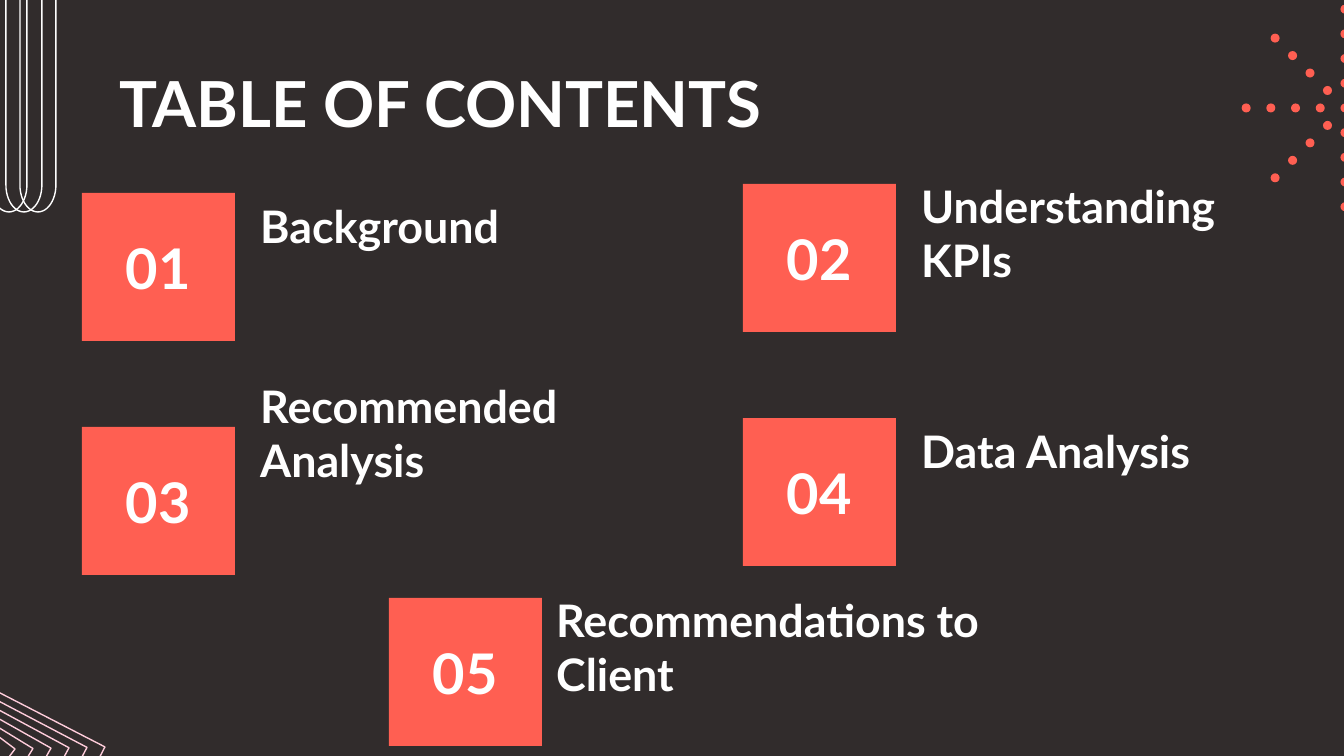
from math import cos, pi, sin

from pptx import Presentation
from pptx.dml.color import RGBColor
from pptx.enum.shapes import MSO_SHAPE
from pptx.enum.text import MSO_ANCHOR, PP_ALIGN
from pptx.util import Pt

PX = 914400 / 134.4
FONT = "Lato"
COLORS = {"bg": "312C2C", "coral": "FF5F52", "white": "FFFFFF", "pink": "FFCDDB"}

TITLE = ("TABLE OF CONTENTS", (106, 51, 1133, 85))
# number, tile left and top, heading, heading left, top and width
ITEMS = [
    ("01", (82, 193), "Background", (247, 181, 366)),
    ("02", (743, 184), "Understanding KPIs", (908, 215, 379)),
    ("03", (82, 427), "Recommended Analysis", (247, 415, 379)),
    ("04", (743, 418), "Data Analysis", (908, 406, 379)),
    ("05", (389, 598), "Recommendations to Client", (543, 629, 465)),
]
TILE_W, TILE_H, HEADING_H = 153, 148, 85

LOOP_LEFTS = [6, -9, 20]
LOOP_TOP, LOOP_BOTTOM, LOOP_RX, LOOP_RY = -128, 212, 18, 27

DIAMOND_INNER = [(-27, 755), (-9, 731), (15, 749), (-3, 773)]
DIAMOND_OUTER = [(-102, 813), (-31, 677), (105, 747), (35, 883)]
DIAMONDS = 6

BURST_CENTER = (1345, 108)
DOT, DOT_GAP, DOTS_PER_RAY = 9, 24.7, 4
RAY_ANGLES = [90, 135, 180, 225, 270]


def emu(*lengths):
    return [round(v * PX) for v in lengths]


def rgb(name):
    return RGBColor.from_string(COLORS[name])


def add_outline(points, color):
    builder = s.shapes.build_freeform(*emu(*points[0]), scale=1.0)
    builder.add_line_segments([emu(*pt) for pt in points[1:]], close=True)
    sp = builder.convert_to_shape()
    sp.shadow.inherit = False
    sp.fill.background()
    sp.line.color.rgb = rgb(color)
    sp.line.width = Pt(0.75)


def add_solid(kind, box):
    sp = s.shapes.add_shape(kind, *emu(*box))
    sp.shadow.inherit = False
    sp.fill.solid()
    sp.fill.fore_color.rgb = rgb("coral")
    sp.line.fill.background()
    return sp


def set_text(sp, text, size, anchor, align=PP_ALIGN.LEFT):
    tf = sp.text_frame
    tf.word_wrap = True
    tf.vertical_anchor = anchor
    tf.margin_left = tf.margin_right = tf.margin_top = tf.margin_bottom = 91440
    p = tf.paragraphs[0]
    p.text = text
    p.alignment = align
    p.font.name = FONT
    p.font.size = Pt(size)
    p.font.bold = True
    p.font.color.rgb = rgb("white")


def loop_points(left):
    """Tall closed loop with half-ellipse ends, clockwise from the lower right."""
    cx = left + LOOP_RX
    ends = [(LOOP_BOTTOM - LOOP_RY, 0), (LOOP_TOP + LOOP_RY, pi)]
    return [(cx + LOOP_RX * cos(start + pi * i / 24),
             cy + LOOP_RY * sin(start + pi * i / 24))
            for cy, start in ends for i in range(25)]


prs = Presentation()
prs.slide_width, prs.slide_height = emu(1344, 756)
s = prs.slides.add_slide(prs.slide_layouts[6])
s.background.fill.solid()
s.background.fill.fore_color.rgb = rgb("bg")

for left in LOOP_LEFTS:
    add_outline(loop_points(left), "white")

for i in range(DIAMONDS):
    t = i / (DIAMONDS - 1)
    add_outline([(x0 + (x1 - x0) * t, y0 + (y1 - y0) * t)
                 for (x0, y0), (x1, y1) in zip(DIAMOND_INNER, DIAMOND_OUTER)], "pink")

cx, cy = BURST_CENTER
dots = [(cx, cy)] + [
    (cx + k * DOT_GAP * cos(a * pi / 180), cy + k * DOT_GAP * sin(a * pi / 180))
    for a in RAY_ANGLES for k in range(1, DOTS_PER_RAY + 1)]
for x, y in dots:
    add_solid(MSO_SHAPE.OVAL, (x - DOT / 2, y - DOT / 2, DOT, DOT))

text, box = TITLE
set_text(s.shapes.add_textbox(*emu(*box)), text, 34, MSO_ANCHOR.TOP)

for number, corner, heading, (x, y, w) in ITEMS:
    tile = add_solid(MSO_SHAPE.RECTANGLE, (*corner, TILE_W, TILE_H))
    set_text(tile, number, 30, MSO_ANCHOR.MIDDLE, PP_ALIGN.CENTER)
    label = s.shapes.add_textbox(*emu(x, y, w, HEADING_H))
    set_text(label, heading, 24, MSO_ANCHOR.BOTTOM)

prs.save("out.pptx")
